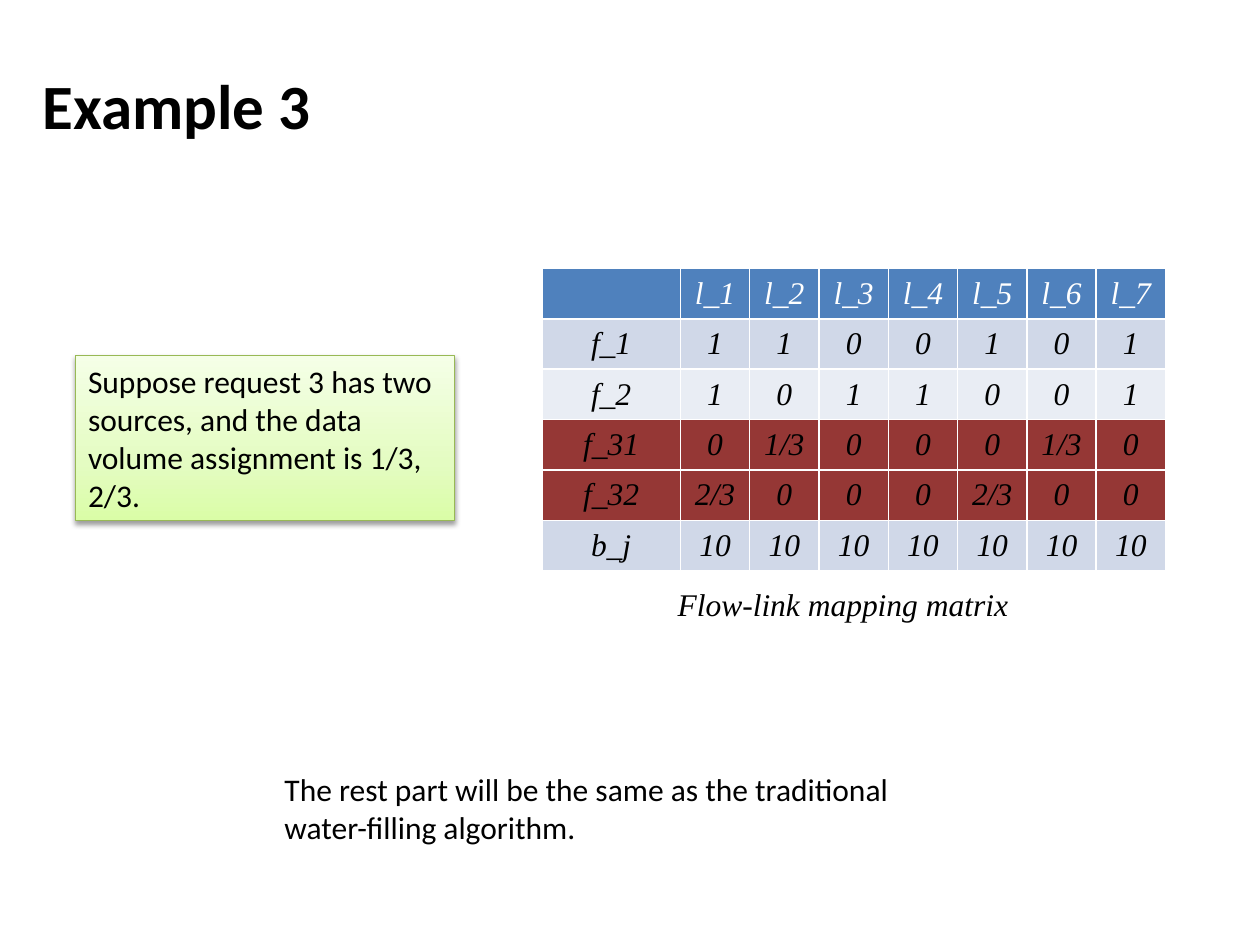
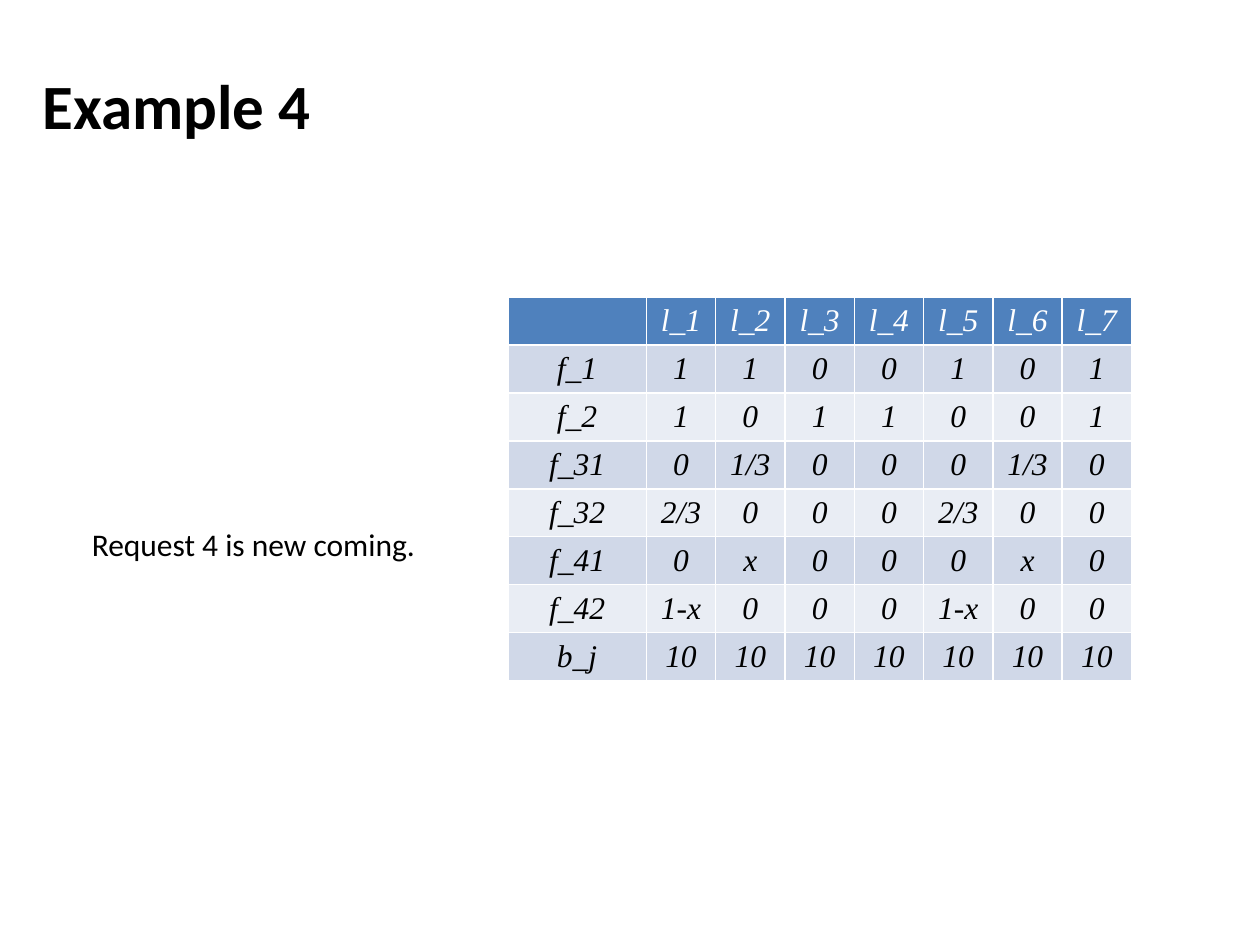
import pptx
import pptx.dml.color
import pptx.enum.shapes
import pptx.enum.text
import pptx.oxml
import pptx.oxml.ns
import pptx.util

Inches = pptx.util.Inches
BLACK, WHITE = "000000", "FFFFFF"
HEADER, BANDS, MARKED = "4F81BD", ("D0D8E8", "E9EDF4"), "953735"
BODY_FONT, MATH_FONT = "Calibri", "Times New Roman"
LABEL_WIDTH, LINK_WIDTH = 1.1, 0.55
TITLE_PLACE = (0.24, 0.48, 2.36, 0.71)
CARD_PLACE = (0.6, 2.82, 3.01, 1.31)
CARD_STOPS = [(0, "DAFDA7"), (35, "E4FCC2"), (100, "F5FFE7")]

LINKS = ["", "l_1", "l_2", "l_3", "l_4", "l_5", "l_6", "l_7"]
FLOWS = [
    ["f_1", "1", "1", "0", "0", "1", "0", "1"],
    ["f_2", "1", "0", "1", "1", "0", "0", "1"],
    ["f_31", "0", "1/3", "0", "0", "0", "1/3", "0"],
    ["f_32", "2/3", "0", "0", "0", "2/3", "0", "0"],
]
NEW_FLOWS = [
    ["f_41", "0", "x", "0", "0", "0", "x", "0"],
    ["f_42", "1-x", "0", "0", "0", "1-x", "0", "0"],
]
CAPACITY = ["b_j"] + ["10"] * 7

SLIDES = [
    {
        "title": "Example 3",
        "matrix": [LINKS, *FLOWS, CAPACITY],
        "corner": (4.3, 2.13),
        "row_height": 0.4,
        "marked": ("f_31", "f_32"),
        "card": "Suppose request 3 has two sources, and the data volume assignment is 1/3, 2/3.",
        "notes": [
            ("Flow-link mapping matrix", (5.28, 4.59, 2.93, 0.4), MATH_FONT, False),
            ("The rest part will be the same as the traditional water-filling algorithm.",
             (2.16, 6.06, 5, 0.71), BODY_FONT, True),
        ],
    },
    {
        "title": "Example 4",
        "matrix": [LINKS, *FLOWS, *NEW_FLOWS, CAPACITY],
        "corner": (4.03, 2.36),
        "row_height": 0.38,
        "marked": (),
        "card": None,
        "notes": [
            ("Request 4 is new coming.", (0.63, 4.12, 2.81, 0.4), BODY_FONT, False),
        ],
    },
]


def color(value):
    return pptx.dml.color.RGBColor.from_string(value)


def inches(place):
    return [Inches(length) for length in place]


def write(frame, text, font=BODY_FONT, size=18, bold=False, ink=BLACK, align="LEFT"):
    frame.text = text
    para = frame.paragraphs[0]
    para.alignment = getattr(pptx.enum.text.PP_ALIGN, align)
    for style in [para.font] + [span.font for span in para.runs]:
        style.name, style.size = font, pptx.util.Pt(size)
        style.bold, style.italic = bold, font == MATH_FONT
        style.color.rgb = color(ink)


def add_title(page, text):
    title = page.shapes.title
    title.left, title.top, title.width, title.height = inches(TITLE_PLACE)
    write(title.text_frame, text, size=36, bold=True)
    title.text_frame.word_wrap = False
    title.text_frame.vertical_anchor = pptx.enum.text.MSO_ANCHOR.TOP


def add_matrix(page, rows, corner, row_height, marked):
    widths = [LABEL_WIDTH] + [LINK_WIDTH] * (len(rows[0]) - 1)
    size = (sum(widths), row_height * len(rows))
    table = page.shapes.add_table(len(rows), len(widths), *inches(corner + size)).table
    for column, width in zip(table.columns, widths):
        column.width = Inches(width)
    for r, values in enumerate(rows):
        table.rows[r].height = Inches(row_height)
        fill = HEADER if r == 0 else MARKED if values[0] in marked else BANDS[(r - 1) % 2]
        for c, value in enumerate(values):
            cell = table.cell(r, c)
            cell.fill.solid()
            cell.fill.fore_color.rgb = color(fill)
            cell.vertical_anchor = pptx.enum.text.MSO_ANCHOR.MIDDLE
            cell.margin_top = cell.margin_bottom = Inches(0.03)
            cell.margin_left = cell.margin_right = Inches(0.05)
            write(cell.text_frame, value, MATH_FONT, ink=BLACK if r else WHITE, align="CENTER")


def add_card(page, text):
    card = page.shapes.add_shape(pptx.enum.shapes.MSO_SHAPE.RECTANGLE, *inches(CARD_PLACE))
    card.line.color.rgb = color("98B955")
    card.line.width = pptx.util.Pt(0.75)
    namespace = pptx.oxml.ns.nsdecls("a")
    stops = "".join(
        f'<a:gs pos="{share * 1000}"><a:srgbClr val="{tint}"/></a:gs>' for share, tint in CARD_STOPS
    )
    gradient = pptx.oxml.parse_xml(
        f'<a:gradFill {namespace} rotWithShape="1"><a:gsLst>{stops}</a:gsLst>'
        '<a:lin ang="16200000" scaled="0"/></a:gradFill>'
    )
    shadow = pptx.oxml.parse_xml(
        f'<a:effectLst {namespace}><a:outerShdw blurRad="{pptx.util.Pt(3.1)}" '
        f'dist="{pptx.util.Pt(1.6)}" dir="5400000" rotWithShape="0"><a:srgbClr val="{BLACK}">'
        '<a:alpha val="38000"/></a:srgbClr></a:outerShdw></a:effectLst>'
    )
    outline = card.line._get_or_add_ln()
    outline.addprevious(gradient)
    outline.addnext(shadow)
    write(card.text_frame, text)
    card.text_frame.word_wrap = True


def add_note(page, text, place, font, wrap):
    box = page.shapes.add_textbox(*inches(place))
    write(box.text_frame, text, font)
    box.text_frame.word_wrap = wrap


def main():
    deck = pptx.Presentation()
    deck.slide_width, deck.slide_height = inches((10, 7.5))
    for content in SLIDES:
        page = deck.slides.add_slide(deck.slide_layouts.get_by_name("Title Only"))
        add_title(page, content["title"])
        add_matrix(page, content["matrix"], content["corner"], content["row_height"], content["marked"])
        if content["card"]:
            add_card(page, content["card"])
        for note in content["notes"]:
            add_note(page, *note)
    deck.save("out.pptx")


if __name__ == "__main__":
    main()
